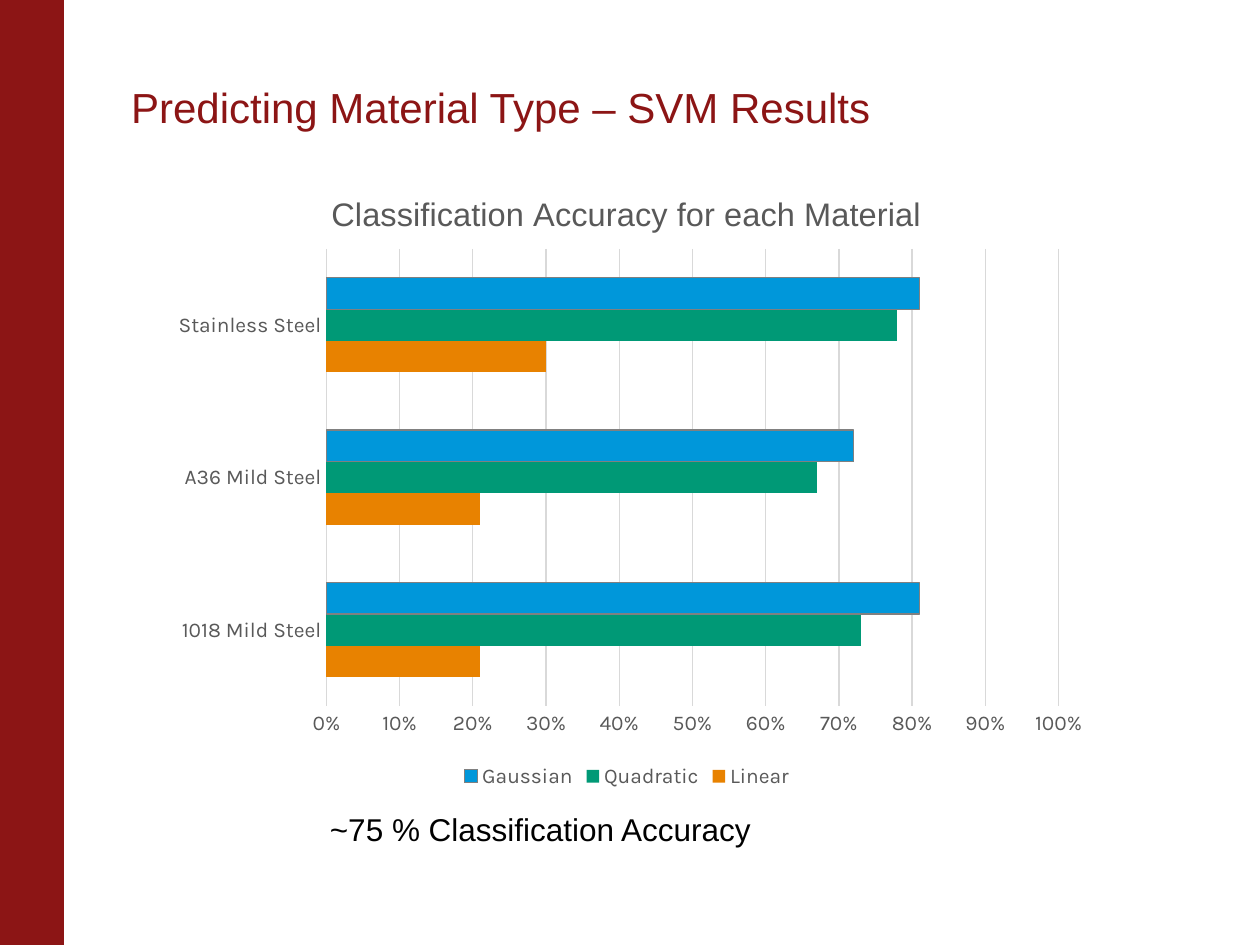
from typing import NamedTuple, Optional

from lxml import etree
from pptx import Presentation
from pptx.chart.data import CategoryChartData
from pptx.dml.color import RGBColor
from pptx.enum.chart import XL_CHART_TYPE, XL_LEGEND_POSITION, XL_TICK_MARK
from pptx.enum.shapes import MSO_SHAPE
from pptx.enum.text import MSO_ANCHOR, MSO_AUTO_SIZE, PP_ALIGN
from pptx.oxml.ns import qn
from pptx.util import Inches, Pt

CARDINAL = RGBColor(0x8C, 0x15, 0x15)
BLACK = RGBColor(0x00, 0x00, 0x00)
LABEL_GRAY = RGBColor(0x59, 0x59, 0x59)
GRID_GRAY = RGBColor(0xD9, 0xD9, 0xD9)
OUTLINE_GRAY = RGBColor(0x80, 0x80, 0x80)
ORANGE = RGBColor(0xE8, 0x82, 0x00)
GREEN = RGBColor(0x00, 0x99, 0x76)
BLUE = RGBColor(0x00, 0x97, 0xDA)

HEADING_FONT = "Arial"
CHART_FONT = "Karla"
NO_TICKS = XL_TICK_MARK.NONE
TITLE_ONLY_LAYOUT = 5


class Kernel(NamedTuple):
    name: str
    accuracies: tuple
    color: RGBColor
    outline: Optional[RGBColor] = None


MATERIALS = ("1018 Mild Steel", "A36 Mild Steel", "Stainless Steel")
KERNELS = (
    Kernel("Linear", (0.21, 0.21, 0.3), ORANGE),
    Kernel("Quadratic", (0.73, 0.67, 0.78), GREEN),
    Kernel("Gaussian", (0.81, 0.72, 0.81), BLUE, OUTLINE_GRAY),
)


def style_font(font, name: str, size: float, color: RGBColor) -> None:
    font.name = name
    font.size = Pt(size)
    font.color.rgb = color


def add_run(paragraph, text: str, size: float, color: RGBColor) -> None:
    run = paragraph.add_run()
    run.text = text
    style_font(run.font, HEADING_FONT, size, color)


def style_line(line, color: RGBColor) -> None:
    line.color.rgb = color
    line.width = Pt(0.75)


def set_inner_plot_area(chart, x: float, y: float, w: float, h: float) -> None:
    """Fix the area inside the axes, as fractions of the chart."""
    plot_area = chart.plots[0]._element.getparent()
    for old_layout in plot_area.findall(qn("c:layout")):
        plot_area.remove(old_layout)
    layout = etree.Element(qn("c:layout"))
    plot_area.insert(0, layout)
    manual = etree.SubElement(layout, qn("c:manualLayout"))
    settings = (("layoutTarget", "inner"), ("xMode", "edge"), ("yMode", "edge"),
                ("x", x), ("y", y), ("w", w), ("h", h))
    for tag, value in settings:
        etree.SubElement(manual, qn(f"c:{tag}")).set("val", str(value))


def add_side_band(slide) -> None:
    band = slide.shapes.add_shape(
        MSO_SHAPE.RECTANGLE, 0, 0, Inches(0.5), Inches(7.5))
    band.shadow.inherit = False
    band.fill.solid()
    band.fill.fore_color.rgb = CARDINAL
    style_line(band.line, CARDINAL)


def fill_title(slide, text: str) -> None:
    title = slide.shapes.title
    title.left, title.top = Inches(1.04), Inches(0.52)
    title.width, title.height = Inches(8.43), Inches(0.71)
    frame = title.text_frame
    frame.margin_left = 0
    frame.vertical_anchor = MSO_ANCHOR.MIDDLE
    paragraph = frame.paragraphs[0]
    paragraph.alignment = PP_ALIGN.LEFT
    paragraph.line_spacing = 0.85
    add_run(paragraph, text, 24, CARDINAL)


def add_accuracy_chart(slide) -> None:
    data = CategoryChartData(number_format="0%")
    data.categories = MATERIALS
    for kernel in KERNELS:
        data.add_series(kernel.name, kernel.accuracies)
    chart = slide.shapes.add_chart(
        XL_CHART_TYPE.BAR_CLUSTERED, Inches(1.25), Inches(1.33),
        Inches(7.45), Inches(4.97), data).chart
    style_font(chart.font, CHART_FONT, 10, BLACK)

    chart.has_title = True
    heading = chart.chart_title.text_frame.paragraphs[0]
    add_run(heading, "Classification Accuracy for each Material", 18.6, LABEL_GRAY)
    heading.runs[0].font.bold = False
    chart.chart_title.include_in_layout = False

    chart.has_legend = True
    chart.legend.position = XL_LEGEND_POSITION.BOTTOM
    chart.legend.include_in_layout = False
    style_font(chart.legend.font, CHART_FONT, 12, LABEL_GRAY)

    for axis in (chart.category_axis, chart.value_axis):
        axis.major_tick_mark = axis.minor_tick_mark = NO_TICKS
        style_font(axis.tick_labels.font, CHART_FONT, 12, LABEL_GRAY)
    style_line(chart.category_axis.format.line, GRID_GRAY)

    accuracy_axis = chart.value_axis
    accuracy_axis.minimum_scale, accuracy_axis.maximum_scale = 0, 1
    accuracy_axis.major_unit = 0.1
    accuracy_axis.tick_labels.number_format = "0%"
    accuracy_axis.tick_labels.number_format_is_linked = False
    accuracy_axis.format.line.fill.background()
    style_line(accuracy_axis.major_gridlines.format.line, GRID_GRAY)

    plot = chart.plots[0]
    plot.gap_width = 182
    plot.vary_by_categories = False
    for series, kernel in zip(plot.series, KERNELS):
        series.format.fill.solid()
        series.format.fill.fore_color.rgb = kernel.color
        if kernel.outline is None:
            series.format.line.fill.background()
        else:
            style_line(series.format.line, kernel.outline)
    set_inner_plot_area(chart, 0.18, 0.13, 0.78, 0.73)


def add_summary(slide, text: str) -> None:
    summary = slide.shapes.add_textbox(
        Inches(2.52), Inches(6.38), Inches(3.57), Inches(0.4))
    frame = summary.text_frame
    frame.word_wrap = False
    frame.auto_size = MSO_AUTO_SIZE.SHAPE_TO_FIT_TEXT
    add_run(frame.paragraphs[0], text, 18, BLACK)


def main() -> None:
    presentation = Presentation()
    presentation.slide_width = Inches(10)
    presentation.slide_height = Inches(7.5)
    slide = presentation.slides.add_slide(
        presentation.slide_layouts[TITLE_ONLY_LAYOUT])
    add_side_band(slide)
    fill_title(slide, "Predicting Material Type – SVM Results")
    add_accuracy_chart(slide)
    add_summary(slide, "~75 % Classification Accuracy")
    presentation.save("out.pptx")


if __name__ == "__main__":
    main()
